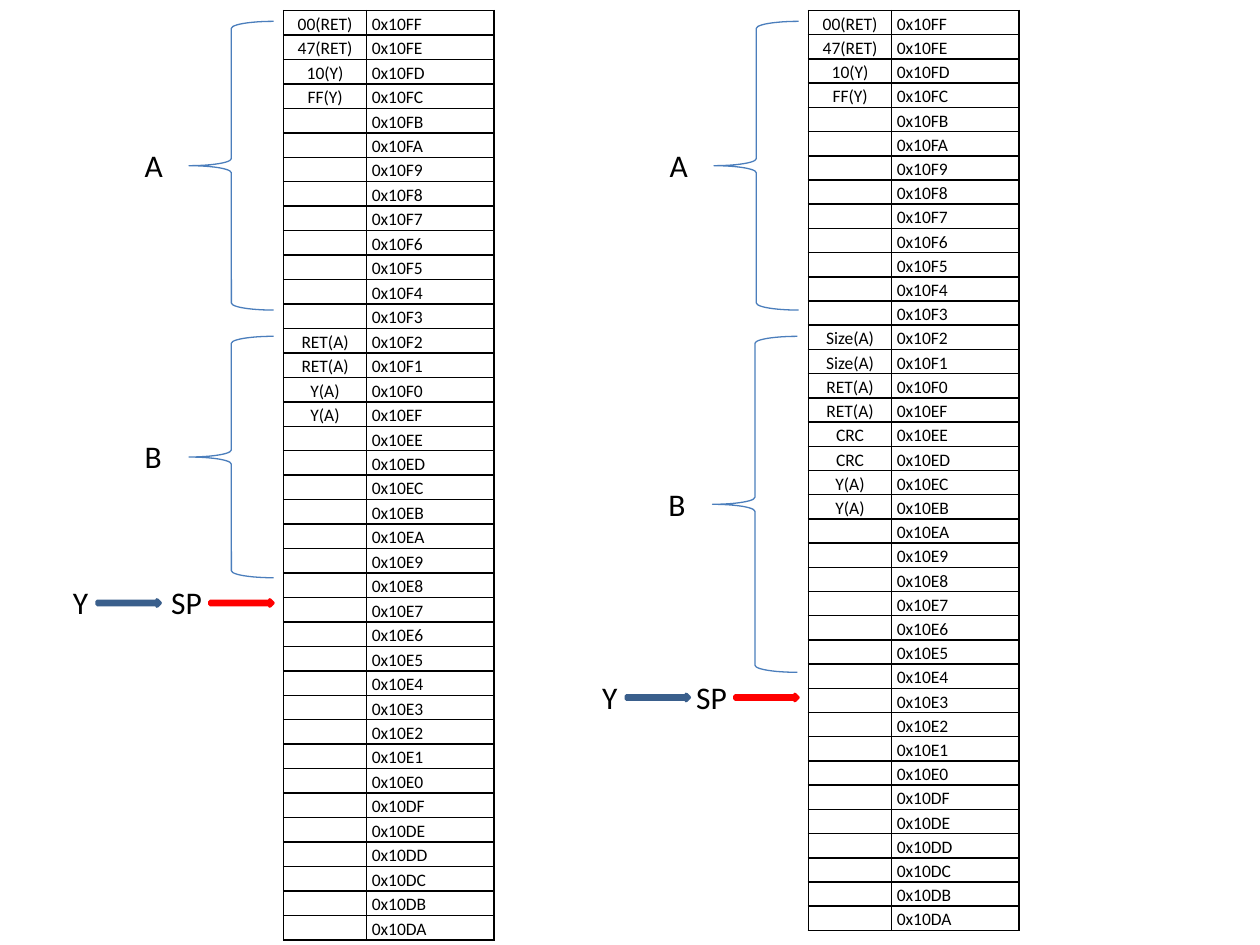
from dataclasses import dataclass

from lxml import etree
from pptx import Presentation
from pptx.dml.color import RGBColor
from pptx.enum import shapes, text
from pptx.oxml.ns import qn
from pptx.util import Pt


@dataclass(frozen=True)
class Theme:
    """Colours, font and sizes shared by the slide."""
    font: str = "Calibri"
    cell_size: float = 10
    label_size: float = 18
    ink: str = "000000"
    arrow: str = "4F81BD"
    pointer_line: str = "3A5F8C"
    stack_line: str = "FF0000"
    brace_line: str = "4B7EBC"


THEME = Theme()
TOP_ADDRESS = 0x10FF
ROW_COUNT = 38
COLUMN_WIDTHS = (47.52, 72.72)
FRAME_A = {0: "00(RET)", 1: "47(RET)", 2: "10(Y)", 3: "FF(Y)"}
SHORT_FRAME = ["RET(A)"] * 2 + ["Y(A)"] * 2
LONG_FRAME = ["Size(A)"] * 2 + ["RET(A)"] * 2 + ["CRC"] * 2 + ["Y(A)"] * 2
FRAME_B_ROW = 13


def style_font(font, size):
    """Apply the theme font at a size."""
    font.name = THEME.font
    font.size = Pt(size)
    font.color.rgb = RGBColor.from_string(THEME.ink)


def border_cell(cell):
    """Draw a one point line on every side of a cell."""
    properties = cell._tc.get_or_add_tcPr()
    for place, side in enumerate(("a:lnL", "a:lnR", "a:lnT", "a:lnB")):
        line = etree.Element(qn(side), w=str(Pt(1)))
        fill = etree.SubElement(line, qn("a:solidFill"))
        etree.SubElement(fill, qn("a:srgbClr"), val=THEME.ink)
        properties.insert(place, line)


def fill_cell(cell, words, align):
    """Write and format one table cell."""
    cell.margin_left = cell.margin_right = Pt(3)
    cell.margin_top = cell.margin_bottom = 0
    cell.fill.background()
    border_cell(cell)
    para = cell.text_frame.paragraphs[0]
    para.text = words
    para.alignment = align
    para.line_spacing = 1.15
    style_font(para.font, THEME.cell_size)
    for span in para.runs:
        style_font(span.font, THEME.cell_size)


def add_memory(page, left, top, row_height, contents):
    """Add the table of memory cells and their addresses."""
    table = page.shapes.add_table(
        ROW_COUNT, 2, Pt(left), Pt(top), Pt(sum(COLUMN_WIDTHS)),
        Pt(row_height * ROW_COUNT)).table
    table.first_row = table.horz_banding = False
    for column, width in zip(table.columns, COLUMN_WIDTHS):
        column.width = Pt(width)
    for index, row in enumerate(table.rows):
        row.height = Pt(row_height)
        fill_cell(row.cells[0], contents.get(index, ""), text.PP_ALIGN.CENTER)
        fill_cell(row.cells[1], f"0x{TOP_ADDRESS - index:X}", text.PP_ALIGN.LEFT)


def add_label(parent, words, left, top, width):
    """Add a short label."""
    box = parent.add_textbox(Pt(left), Pt(top), Pt(width), Pt(28.8))
    frame = box.text_frame
    frame.word_wrap = True
    frame.text = words
    style_font(frame.paragraphs[0].runs[0].font, THEME.label_size)


def add_pointer(page, words, left, top, width, arrow_left, line):
    """Add a label grouped with the arrow that leaves it."""
    group = page.shapes.add_group_shape().shapes
    arrow = group.add_shape(shapes.MSO_SHAPE.RIGHT_ARROW, Pt(arrow_left),
                            Pt(top + 12.96), Pt(36), Pt(3.6))
    arrow.shadow.inherit = False
    arrow.fill.solid()
    arrow.fill.fore_color.rgb = RGBColor.from_string(THEME.arrow)
    arrow.line.color.rgb = RGBColor.from_string(line)
    arrow.line.width = Pt(2)
    add_label(group, words, left, top, width)


def add_brace(page, words, left, top, height):
    """Add a brace with its label beside the tip."""
    brace = page.shapes.add_shape(shapes.MSO_SHAPE.LEFT_BRACE, Pt(left), Pt(top),
                                  Pt(48.4), Pt(height))
    brace.shadow.inherit = False
    brace.fill.background()
    brace.line.color.rgb = RGBColor.from_string(THEME.brace_line)
    brace.line.width = Pt(0.75)
    add_label(page.shapes, words, left - 32.4, top + height / 2 - 14.8, 32.4)


def add_stack(page, left, top, row_height, frame_b, brace_b, pointer_top, y_left):
    """Add one stack: memory, two braced frames and the stack pointers."""
    contents = FRAME_A | dict(enumerate(frame_b, FRAME_B_ROW))
    add_memory(page, left, top, row_height, contents)
    add_pointer(page, "Y", left + y_left, top + pointer_top, 18,
                left + y_left + 20.9, THEME.pointer_line)
    add_pointer(page, "SP", left - 71.3, top + pointer_top, 32.4,
                left - 42, THEME.stack_line)
    add_brace(page, "A", left - 54, top + 6.2, 165)
    shift, height = brace_b
    add_brace(page, "B", left + shift, top + 186.2, height)


def main():
    """Build and save the deck."""
    deck = Presentation()
    deck.slide_width, deck.slide_height = Pt(720), Pt(540)
    page = deck.slides.add_slide(deck.slide_layouts[6])
    add_stack(page, 162, 6, 13.98, SHORT_FRAME, (-54, 138), 323.8, -127.4)
    add_stack(page, 462, 6, 13.83, LONG_FRAME, (-54.8, 192), 377.8, -125)
    deck.save("out.pptx")


if __name__ == "__main__":
    main()
